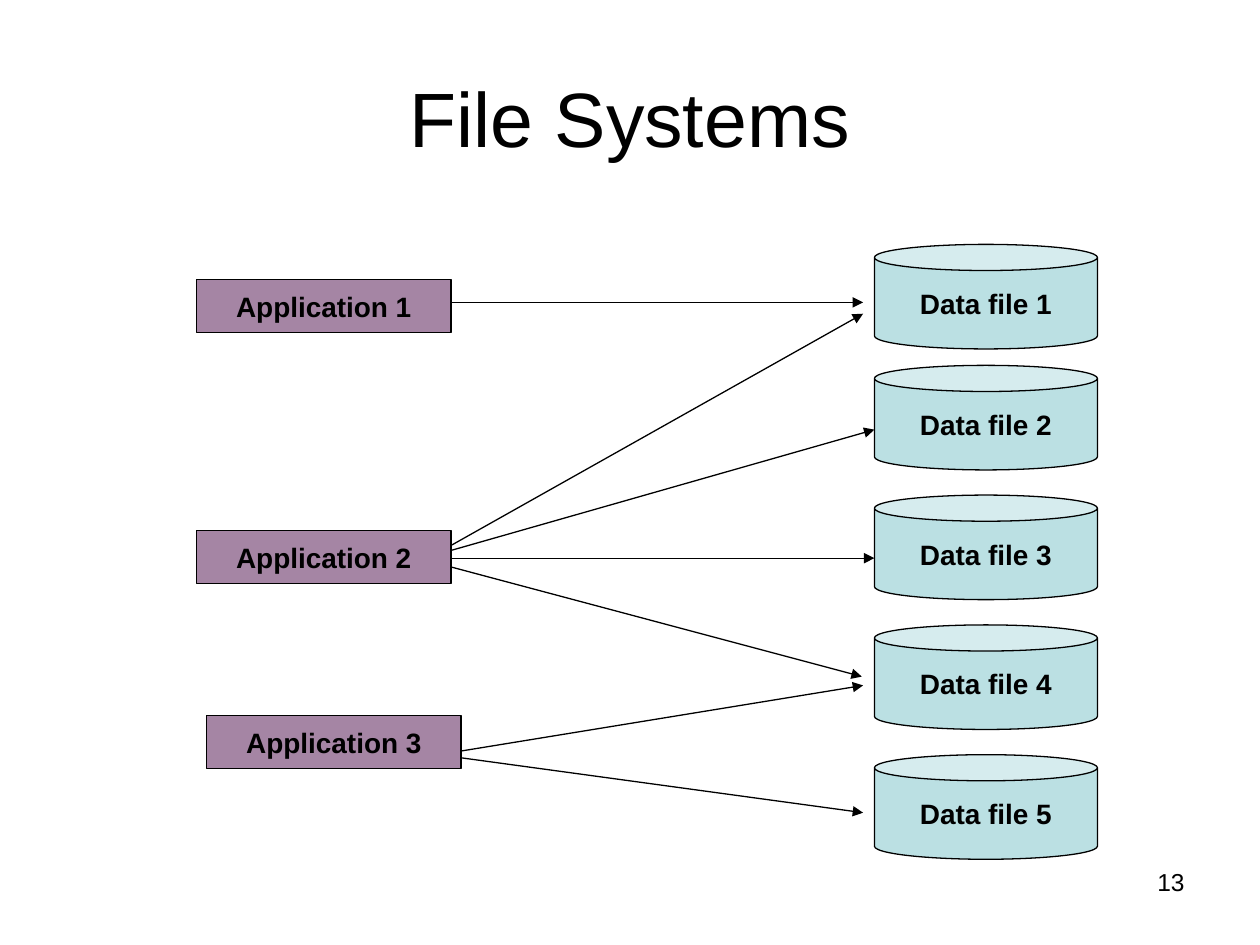
from lxml.etree import SubElement as Sub
from pptx import Presentation
from pptx.dml.color import RGBColor as RGB
from pptx.enum.shapes import MSO_CONNECTOR as Link, MSO_SHAPE as Kind
from pptx.enum.text import MSO_ANCHOR as Anchor, PP_ALIGN as Align
from pptx.oxml.ns import qn
from pptx.util import Inches, Pt

WIDE, HIGH = 10, 7.5
HEX = {"ink": "000000", "file": "BBE0E3", "app": "A585A4"}
TITLE, PAGE = "File Systems", "13"

# Left and top of each application
APPS = [(1.56, 2.22), (1.56, 4.21), (1.64, 5.68)]
APP_SIZE = (2.02, 0.42)

# Data files stand in one column; the first sits a little lower than the step
FILE_X, FILE_SIZE, STEP = 6.94, (1.77, 0.83), 1.03
TOPS = [1.94] + [2.9 + STEP * row for row in range(4)]

# Arrows start beneath the application boxes, which are drawn over them
ARROWS = [
    ((3.4, 2.4), (6.85, 2.4)),
    ((3.4, 4.42), (FILE_X, 3.41)),
    ((3.4, 4.43), (FILE_X, 4.43)),
    ((3.43, 4.46), (6.84, 5.37)),
    ((3.4, 4.43), (6.85, 2.49)),
    ((3.48, 5.99), (6.85, 5.44)),
    ((3.48, 5.99), (6.85, 6.45)),
]
LABEL = {"size": Pt(16), "bold": True}


def tint(name):
    return RGB.from_string(HEX[name])


def write(shape, text, align, anchor, font):
    frame = shape.text_frame
    frame.word_wrap = True
    frame.vertical_anchor = anchor
    para = frame.paragraphs[0]
    para.text, para.alignment = text, align
    for key, value in {"name": "Arial", **font}.items():
        setattr(para.font, key, value)
    para.font.color.rgb = tint("ink")


def edge(line):
    line.color.rgb = tint("ink")
    line.width = Pt(0.75)


def node(kind, spot, size, fill, text):
    shape = slide.shapes.add_shape(kind, *map(Inches, spot + size))
    shape.shadow.inherit = False
    shape.fill.solid()
    shape.fill.fore_color.rgb = tint(fill)
    edge(shape.line)
    write(shape, text, Align.CENTER, Anchor.MIDDLE, LABEL)


def arrow(start, end):
    link = slide.shapes.add_connector(Link.STRAIGHT, *map(Inches, start + end))
    edge(link.line)
    Sub(link.line._get_or_add_ln(), qn("a:tailEnd"), type="triangle")
    Sub(link._element.spPr, qn("a:effectLst"))


deck = Presentation()
deck.slide_width, deck.slide_height = Inches(WIDE), Inches(HIGH)
slide = deck.slides.add_slide(deck.slide_layouts[5])

title = slide.shapes.title
title.left, title.top = Inches(0.05 * WIDE), Inches(0.04 * HIGH)
title.width, title.height = Inches(0.9 * WIDE), Inches(1.25)
write(title, TITLE, Align.CENTER, Anchor.MIDDLE, {"size": Pt(44)})

page = slide.shapes.add_textbox(*map(Inches, (7.17, 6.83, 2.33, 0.52)))
write(page, PAGE, Align.RIGHT, Anchor.TOP, {"size": Pt(14)})

for num, top in enumerate(TOPS, 1):
    node(Kind.CAN, (FILE_X, top), FILE_SIZE, "file", f"Data file {num}")
for start, end in ARROWS:
    arrow(start, end)
for num, spot in enumerate(APPS, 1):
    node(Kind.RECTANGLE, spot, APP_SIZE, "app", f"Application {num}")

deck.save("out.pptx")
